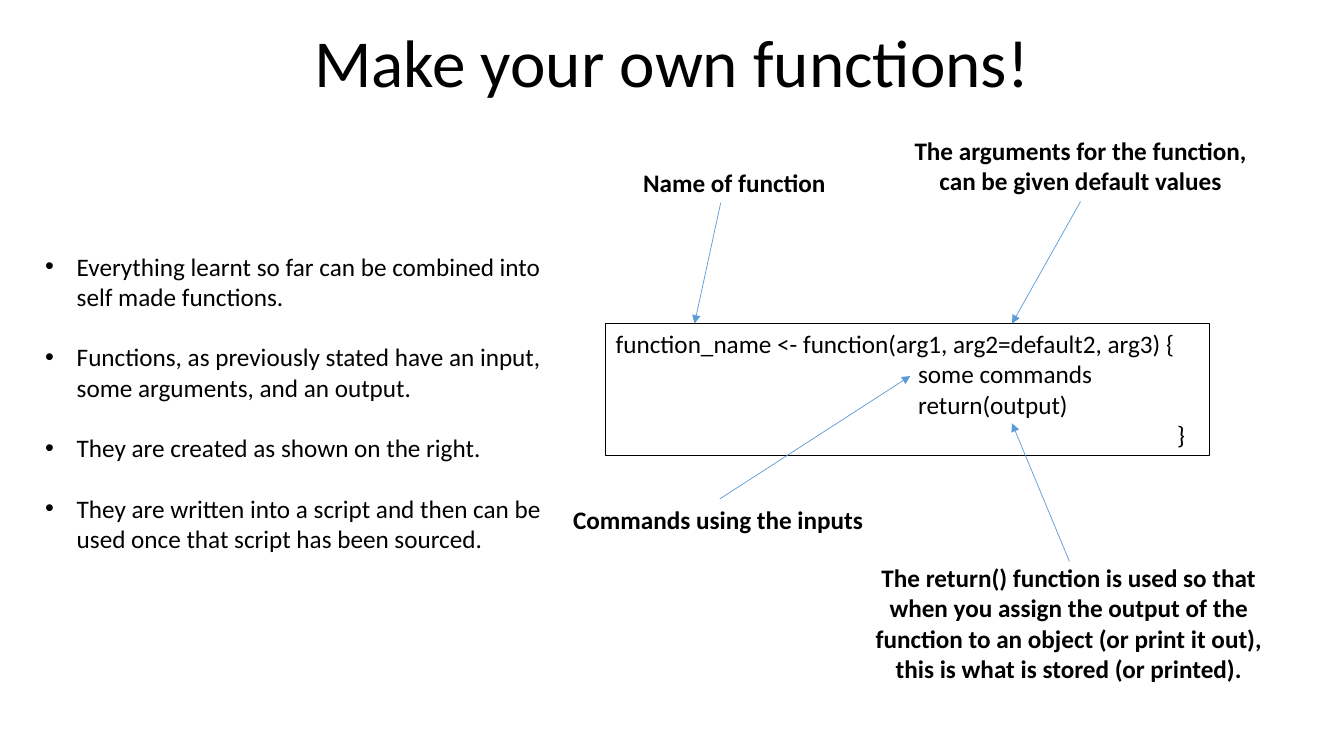
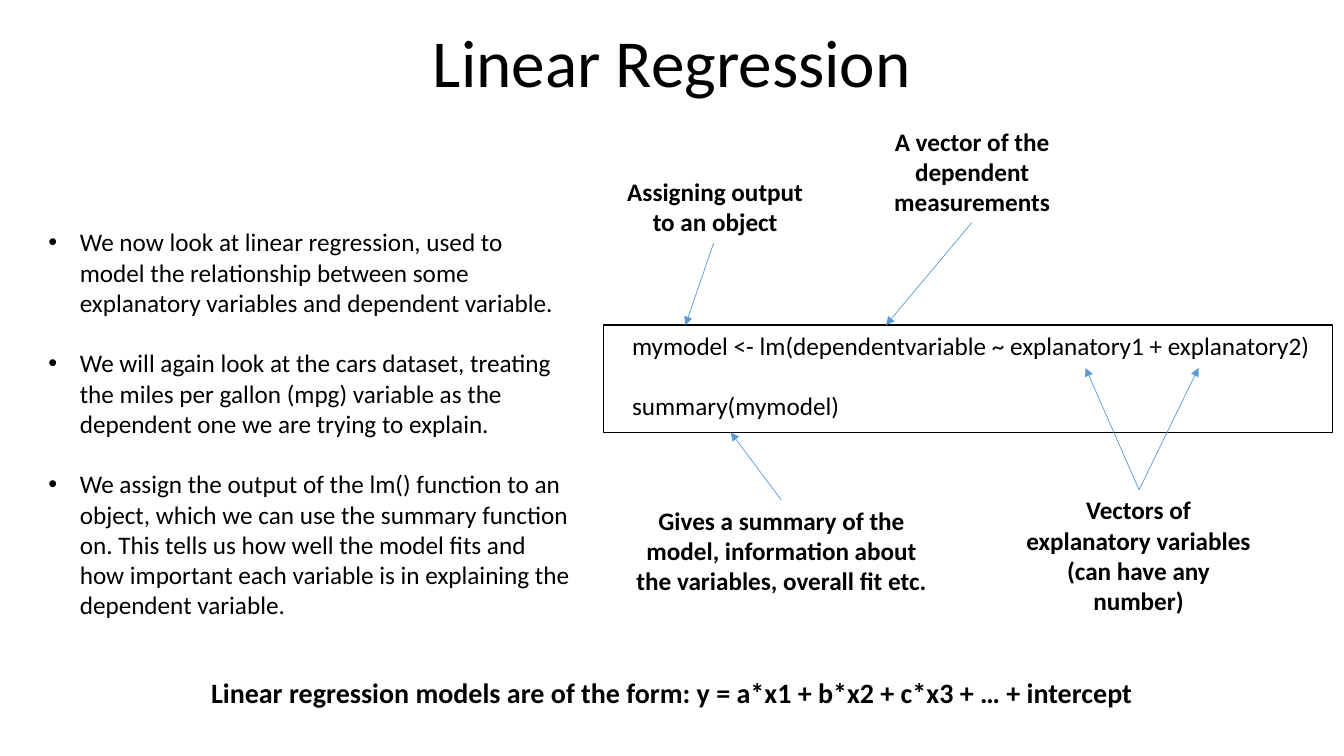
import pptx
import pptx.dml.color
import pptx.enum.shapes
import pptx.enum.text
import pptx.oxml
import pptx.oxml.ns
import pptx.util
from dataclasses import dataclass

Pt = pptx.util.Pt
ALIGN = pptx.enum.text.PP_ALIGN


@dataclass(frozen=True)
class Theme:
    font: str = "Calibri"
    ink: str = "000000"
    arrow: str = "5B9BD5"
    title_size: float = 48
    formula_size: float = 20
    body_size: float = 18
    bullet_indent: float = 22.5
    paragraph_gap: float = 21.6
    frame_line: float = 1
    arrow_line: float = 0.5


THEME = Theme()
SLIDE_WIDTH, SLIDE_HEIGHT = 960, 540
TITLE_BOX = (0, 10.8, SLIDE_WIDTH, 65.5)
FORMULA_BOX = (0, 478.8, SLIDE_WIDTH, 31.7)

# Content: boxes are (left, top, width, height), arrows are (from, to);
# code lines are (text, left indent, space before)
SLIDES = [
    {
        "title": "Make your own functions!",
        "bullets": [
            "Everything learnt so far can be combined into self made functions.",
            "Functions, as previously stated have an input, some arguments, and an output.",
            "They are created as shown on the right.",
            "They are written into a script and then can be used once that script has been sourced.",
        ],
        "bullets_box": (25.2, 175.7, 370, 225.4),
        "code": [
            ("function_name <- function(arg1, arg2=default2, arg3) {", 0, 0),
            ("some commands", 216, 0),
            ("return(output)", 216, 0),
            ("}", 401, 0),
        ],
        "code_box": (432.7, 231.1, 431.3, 94.5),
        "code_inset": 7.2,
        "labels": [
            ("Name of function", (451.5, 115.9, 146, 29)),
            ("The arguments for the function, can be given default values",
             (638, 92.9, 267.8, 51)),
            ("Commands using the inputs", (393, 356.4, 240, 29)),
            ("The return() function is used so that when you assign the output of the "
             "function to an object (or print it out), this is what is stored (or printed).",
             (606.2, 398.2, 314.6, 94.5)),
        ],
        "arrows": [
            ((514.8, 144.9), (496.1, 231.1)),
            ((771.8, 144), (722.9, 231.1)),
            ((514.1, 356.4), (650.2, 268.6)),
            ((763.9, 401), (722.9, 302.4)),
        ],
    },
    {
        "title": "Linear Regression",
        "bullets": [
            "We now look at linear regression, used to model the relationship between some "
            "explanatory variables and dependent variable.",
            "We will again look at the cars dataset, treating the miles per gallon (mpg) "
            "variable as the dependent one we are trying to explain.",
            "We assign the output of the lm() function to an object, which we can use the "
            "summary function on. This tells us how well the model fits and how important "
            "each variable is in explaining the dependent variable.",
        ],
        "bullets_box": (27.4, 158.4, 387.4, 290.9),
        "code": [
            ("mymodel <- lm(dependentvariable ~ explanatory1 + explanatory2)", 0, 0),
            ("summary(mymodel)", 0, THEME.paragraph_gap),
        ],
        "code_box": (431.3, 232.2, 520.6, 77),
        "code_inset": 20.2,
        "labels": [
            ("Assigning output to an object", (434.9, 122.4, 151.9, 51)),
            ("A vector of the dependent measurements", (619.9, 86.4, 149, 72.8)),
            ("Vectors of explanatory variables (can have any number)",
             (722.9, 349.9, 180.7, 94.5)),
            ("Gives a summary of the model, information about the variables, overall fit etc.",
             (444.2, 357.1, 228.2, 72.8)),
        ],
        "arrows": [
            ((509.8, 173.5), (489.6, 232.2)),
            ((694.1, 159.1), (632.9, 232.2)),
            ((813.6, 349.9), (775.4, 262.8)),
            ((813.6, 349.9), (856.1, 262.8)),
            ((558, 357.1), (522, 308.9)),
        ],
        "formula": "Linear regression models are of the form: "
                   "y = a*x1 + b*x2 + c*x3 + … + intercept",
    },
]


def color(value):
    return pptx.dml.color.RGBColor.from_string(value)


def add_xml(parent, tag, **attributes):
    element = pptx.oxml.parse_xml(f"<a:{tag} {pptx.oxml.ns.nsdecls('a')}/>")
    for name, value in attributes.items():
        element.set(name, str(value))
    parent.append(element)


def write_text(shape, lines, *, size=THEME.body_size, bold=False,
               align=ALIGN.LEFT, bullet=False, inset=7.2):
    """Fill a shape with lines of (text, left indent, space before)."""
    frame = shape.text_frame
    frame.word_wrap = True
    frame.vertical_anchor = pptx.enum.text.MSO_ANCHOR.TOP
    frame.margin_left = Pt(inset)
    frame.margin_right = Pt(7.2)
    frame.margin_top = frame.margin_bottom = Pt(3.6)
    for index, (text, indent, space_before) in enumerate(lines):
        paragraph = frame.paragraphs[0] if index == 0 else frame.add_paragraph()
        paragraph.alignment = align
        paragraph.space_before = Pt(space_before)
        properties = paragraph._p.get_or_add_pPr()
        properties.set("marL", str(Pt(indent)))
        if bullet:
            properties.set("indent", str(-Pt(indent)))
            add_xml(properties, "buFont", typeface="Arial")
            add_xml(properties, "buChar", char="•")
        run = paragraph.add_run()
        run.text = text
        run.font.name = THEME.font
        run.font.size = Pt(size)
        run.font.bold = bold
        run.font.color.rgb = color(THEME.ink)


def add_text(slide, text, box, **text_format):
    shape = slide.shapes.add_textbox(*map(Pt, box))
    lines = [(text, 0, 0)] if isinstance(text, str) else text
    write_text(shape, lines, **text_format)


def add_code(slide, lines, box, inset):
    shape = slide.shapes.add_shape(
        pptx.enum.shapes.MSO_SHAPE.RECTANGLE, *map(Pt, box))
    shape.shadow.inherit = False
    shape.fill.background()
    shape.line.color.rgb = color(THEME.ink)
    shape.line.width = Pt(THEME.frame_line)
    write_text(shape, lines, inset=inset)


def add_arrow(slide, start, end):
    connector = slide.shapes.add_connector(
        pptx.enum.shapes.MSO_CONNECTOR.STRAIGHT, *map(Pt, start + end))
    connector.line.color.rgb = color(THEME.arrow)
    connector.line.width = Pt(THEME.arrow_line)
    add_xml(connector.line._get_or_add_ln(), "tailEnd", type="triangle")
    add_xml(connector._element.spPr, "effectLst")


def build_slide(presentation, content):
    slide = presentation.slides.add_slide(presentation.slide_layouts[6])
    add_text(slide, content["title"], TITLE_BOX,
             size=THEME.title_size, align=ALIGN.CENTER)

    # Bullets on the left
    bullets = [(text, THEME.bullet_indent, THEME.paragraph_gap if index else 0)
               for index, text in enumerate(content["bullets"])]
    add_text(slide, bullets, content["bullets_box"], bullet=True)

    # Annotated code on the right
    add_code(slide, content["code"], content["code_box"], content["code_inset"])
    for start, end in content["arrows"]:
        add_arrow(slide, start, end)
    for text, box in content["labels"]:
        add_text(slide, text, box, bold=True, align=ALIGN.CENTER)

    # Closing formula
    if "formula" in content:
        add_text(slide, content["formula"], FORMULA_BOX,
                 size=THEME.formula_size, bold=True, align=ALIGN.CENTER)


def main():
    presentation = pptx.Presentation()
    presentation.slide_width = Pt(SLIDE_WIDTH)
    presentation.slide_height = Pt(SLIDE_HEIGHT)
    for content in SLIDES:
        build_slide(presentation, content)
    presentation.save("out.pptx")


if __name__ == "__main__":
    main()
